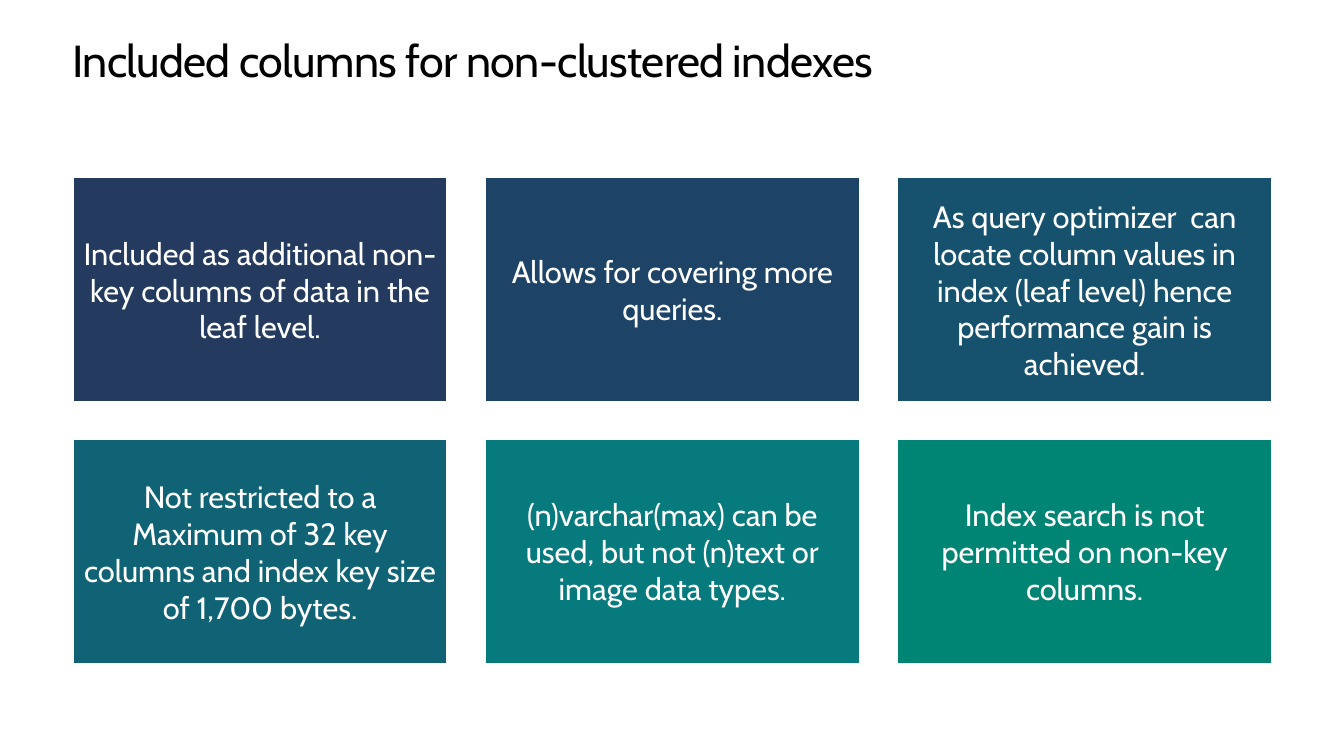
from dataclasses import dataclass

from pptx import Presentation
from pptx.dml.color import RGBColor
from pptx.enum.shapes import MSO_SHAPE as Kind
from pptx.enum.text import MSO_ANCHOR as Anchor, MSO_AUTO_SIZE as Fit, PP_ALIGN as Align
from pptx.shapes.autoshape import Shape
from pptx.slide import Slide
from pptx.util import Cm, Pt

FONT = "Cabin"
LEFT, TOP = 1.83, 4.47
WIDE, HIGH = 9.45, 5.66
STEP_X, STEP_Y = 10.39, 6.6
COLS = 3


@dataclass
class Card:
    text: str
    fill: str


CARDS = [
    Card("Included as additional non-key columns of data in the leaf level.", "243A5E"),
    Card("Allows for covering more queries.", "1D4366"),
    Card("As query optimizer  can locate column values in index (leaf level) "
         "hence performance gain is achieved.", "16516D"),
    Card("Not restricted to a Maximum of 32 key columns and index key size "
         "of 1,700 bytes.", "0F6375"),
    Card("(n)varchar(max) can be used, but not (n)text or image data types.", "077A7D"),
    Card("Index search is not permitted on non-key columns.", "008575"),
]


def color(code: str) -> RGBColor:
    return RGBColor.from_string(code)


def apply(item: object, form: dict) -> None:
    for name, value in form.items():
        setattr(item, name, value)


def write(shape: Shape, text: str, size: int, ink: str, pad: float,
          anchor: Anchor, align: Align) -> None:
    frame = shape.text_frame
    apply(frame, {"word_wrap": True, "auto_size": Fit.NONE, "vertical_anchor": anchor,
                  "margin_left": Cm(pad), "margin_right": Cm(pad),
                  "margin_top": Cm(pad), "margin_bottom": Cm(pad)})
    para = frame.paragraphs[0]
    para.alignment = align
    run = para.add_run()
    run.text = text
    apply(run.font, {"name": FONT, "size": Pt(size)})
    run.font.color.rgb = color(ink)


def add_title(slide: Slide, text: str) -> None:
    title = slide.shapes.title
    apply(title, {"left": Cm(LEFT), "top": Cm(0.89), "width": Cm(30.23), "height": Cm(1.27)})
    write(title, text, 32, "000000", 0, Anchor.TOP, Align.LEFT)
    para = title.text_frame.paragraphs[0]
    para.line_spacing = Pt(36.2)
    # Tighten the letters by half a point
    para.runs[0]._r.get_or_add_rPr().set("spc", "-50")


def add_card(slide: Slide, card: Card, row: int, col: int) -> None:
    box = slide.shapes.add_shape(Kind.RECTANGLE, Cm(LEFT + col * STEP_X),
                                 Cm(TOP + row * STEP_Y), Cm(WIDE), Cm(HIGH))
    box.shadow.inherit = False
    box.fill.solid()
    box.fill.fore_color.rgb = color(card.fill)
    box.line.color.rgb = color("FFFFFF")
    box.line.width = Pt(1.5)
    write(box, card.text, 22, "FFFFFF", 0.23, Anchor.MIDDLE, Align.CENTER)


def main() -> None:
    deck = Presentation()
    apply(deck, {"slide_width": Cm(33.87), "slide_height": Cm(19.05)})
    slide = deck.slides.add_slide(deck.slide_layouts[5])

    # Heading
    add_title(slide, "Included columns for non-clustered indexes")

    # Grid of cards
    for place, card in enumerate(CARDS):
        add_card(slide, card, *divmod(place, COLS))

    deck.save("out.pptx")


if __name__ == "__main__":
    main()
